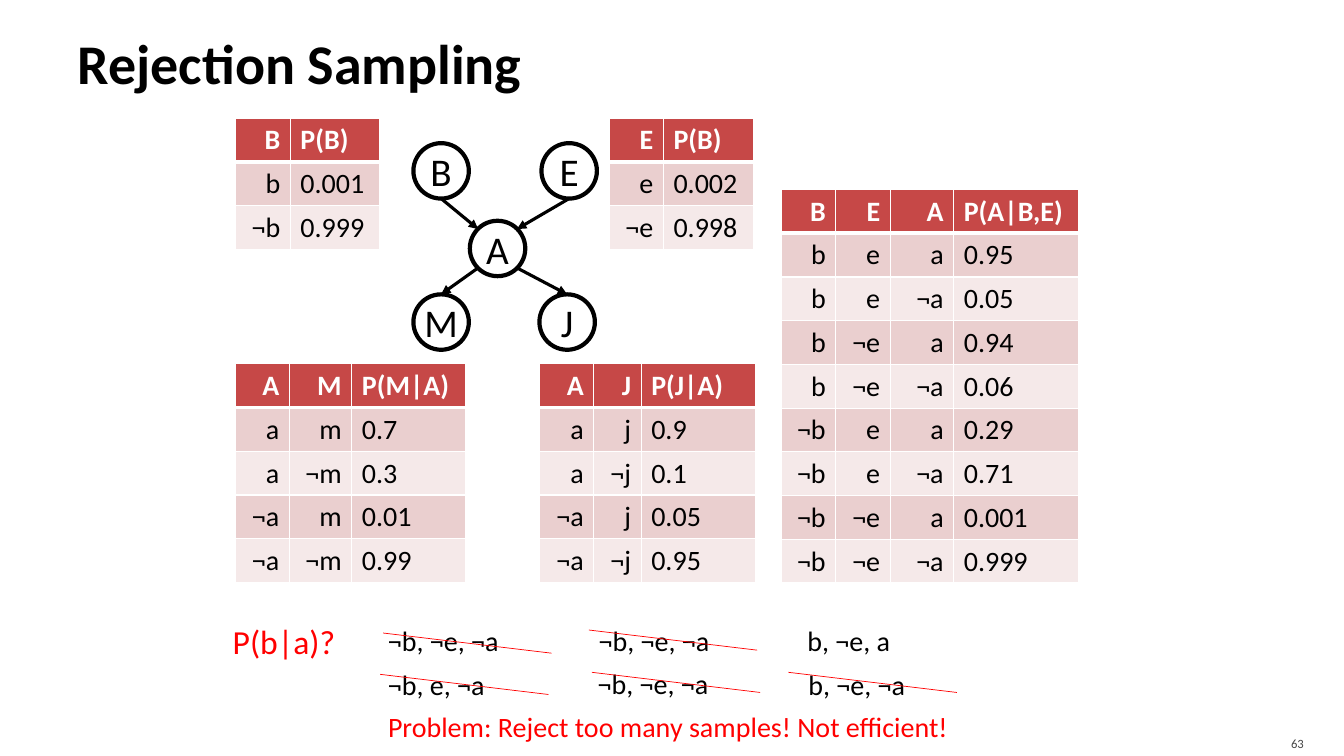
import pptx
import pptx.dml.color
import pptx.enum.shapes
import pptx.enum.text
import pptx.oxml
import pptx.oxml.ns
import pptx.util
from pptx.util import Inches

RGBColor = pptx.dml.color.RGBColor
ALIGN = pptx.enum.text.PP_ALIGN
MIDDLE = pptx.enum.text.MSO_ANCHOR.MIDDLE

BLACK = RGBColor(0x00, 0x00, 0x00)
WHITE = RGBColor(0xFF, 0xFF, 0xFF)
RED = RGBColor(0xFF, 0x00, 0x00)
GRAY = RGBColor(0x45, 0x45, 0x45)
HEADER_FILL = RGBColor(0xC6, 0x48, 0x47)
BAND_FILLS = (RGBColor(0xF5, 0xE9, 0xE9), RGBColor(0xEA, 0xCF, 0xCF))

TITLE = "Rejection Sampling"
PAGE_NUMBER = "63"

# (left, top), column widths, rows with cells separated by spaces
TABLES = [
    ((2.33, 1.17), (0.55, 0.89), ["B P(B)", "b 0.001", "¬b 0.999"]),
    ((6.04, 1.17), (0.54, 0.89), ["E P(B)", "e 0.002", "¬e 0.998"]),
    ((2.33, 3.61), (0.54, 0.62, 1.13),
     ["A M P(M|A)", "a m 0.7", "a ¬m 0.3", "¬a m 0.01", "¬a ¬m 0.99"]),
    ((5.35, 3.61), (0.54, 0.47, 1.13),
     ["A J P(J|A)", "a j 0.9", "a ¬j 0.1", "¬a j 0.05", "¬a ¬j 0.95"]),
    ((7.75, 1.88), (0.54, 0.54, 0.63, 1.24),
     ["B E A P(A|B,E)", "b e a 0.95", "b e ¬a 0.05", "b ¬e a 0.94", "b ¬e ¬a 0.06",
      "¬b e a 0.29", "¬b e ¬a 0.71", "¬b ¬e a 0.001", "¬b ¬e ¬a 0.999"]),
]
ROW_HEIGHT = 0.433

# text, (left, top, width, height), size, colour
LABELS = [
    ("P(b|a)?", (2.21, 6.11, 1.87, 0.5), 24, RED),
    ("¬b, ¬e, ¬a", (3.75, 6.14, 1.87, 0.44), 20, BLACK),
    ("¬b, ¬e, ¬a", (5.84, 6.14, 1.87, 0.44), 20, BLACK),
    ("b, ¬e, a", (7.91, 6.14, 1.87, 0.44), 20, BLACK),
    ("¬b, e, ¬a", (3.75, 6.57, 1.87, 0.44), 20, BLACK),
    ("¬b, ¬e, ¬a", (5.83, 6.56, 1.87, 0.44), 20, BLACK),
    ("b, ¬e, ¬a", (7.92, 6.57, 1.87, 0.44), 20, BLACK),
    ("Problem: Reject too many samples! Not efficient!", (3.75, 6.99, 5.95, 0.44), 20, RED),
]
STRIKE_STARTS = [(3.8, 6.28), (5.84, 6.25), (5.87, 6.67), (3.77, 6.69), (7.82, 6.67)]
STRIKE_SPAN = (1.67, 0.2)

NODES = {"B": (4.1, 1.42), "E": (5.37, 1.42), "A": (4.66, 2.19),
         "M": (4.1, 2.92), "J": (5.35, 2.92)}
NODE_SIZE = 0.55
# Places on a node's outline, as fractions of its size
SITES = {"top": (0.5, 0), "bottom": (0.5, 1),
         "top left": (0.15, 0.15), "top right": (0.85, 0.15),
         "bottom left": (0.15, 0.85), "bottom right": (0.85, 0.85)}
ARROWS = [("B", "bottom", "A", "top left"), ("E", "bottom", "A", "top right"),
          ("A", "bottom left", "M", "top"), ("A", "bottom right", "J", "top")]


def write(frame, text, size, color, bold=False, align=ALIGN.LEFT):
    frame.text = text
    paragraph = frame.paragraphs[0]
    paragraph.alignment = align
    font = paragraph.runs[0].font
    formats = {"name": "Calibri", "size": pptx.util.Pt(size), "bold": bold}
    for name, value in formats.items():
        setattr(font, name, value)
    font.color.rgb = color


def set_frame(frame, margins, anchor=MIDDLE):
    """Set left, top, right and bottom margins and the vertical anchor."""
    for side, margin in zip(("left", "top", "right", "bottom"), margins):
        setattr(frame, "margin_" + side, Inches(margin))
    frame.vertical_anchor = anchor


def add_text(slide, text, box, size, color, align=ALIGN.LEFT):
    frame = slide.shapes.add_textbox(*map(Inches, box)).text_frame
    frame.word_wrap = True
    write(frame, text, size, color, align=align)
    return frame


def add_line(slide, start, end, color, width, arrow=False):
    connector = slide.shapes.add_connector(
        pptx.enum.shapes.MSO_CONNECTOR.STRAIGHT, *map(Inches, start + end))
    connector.line.color.rgb = color
    connector.line.width = pptx.util.Pt(width)
    if arrow:
        pptx.oxml.ns.qn("a:tailEnd")
        connector.line._get_or_add_ln().append(pptx.oxml.parse_xml(
            f'<a:tailEnd {pptx.oxml.ns.nsdecls("a")} type="triangle"/>'))
    connector._element.spPr.append(pptx.oxml.parse_xml(
        f'<a:effectLst {pptx.oxml.ns.nsdecls("a")}/>'))


def set_borders(cell, bottom_width):
    """Add white borders, which must stand before the cell's fill."""
    properties = cell._tc.get_or_add_tcPr()
    for position, side in enumerate("LRTB"):
        width = pptx.util.Pt(bottom_width if side == "B" else 1)
        properties.insert(position, pptx.oxml.parse_xml(
            f'<a:ln{side} {pptx.oxml.ns.nsdecls("a")} w="{width}"><a:solidFill>'
            f'<a:srgbClr val="{WHITE}"/></a:solidFill></a:ln{side}>'))


def add_probability_table(slide, corner, widths, lines):
    rows = [line.split() for line in lines]
    size = (sum(widths), ROW_HEIGHT * len(rows))
    table = slide.shapes.add_table(
        len(rows), len(widths), *map(Inches, corner + size)).table
    table.first_row = table.horz_banding = False
    for column, width in zip(table.columns, widths):
        column.width = Inches(width)
    for r, row in enumerate(rows):
        header = r == 0
        for c, text in enumerate(row):
            cell = table.cell(r, c)
            cell.fill.solid()
            cell.fill.fore_color.rgb = HEADER_FILL if header else BAND_FILLS[r % 2]
            set_borders(cell, 3 if header else 1)
            write(cell.text_frame, text, 20, WHITE if header else BLACK, header,
                  ALIGN.LEFT if c == len(row) - 1 else ALIGN.RIGHT)


def add_node(slide, name, corner):
    node = slide.shapes.add_shape(
        pptx.enum.shapes.MSO_SHAPE.OVAL,
        *map(Inches, corner + (NODE_SIZE, NODE_SIZE)))
    node.shadow.inherit = False
    node.fill.background()
    node.line.color.rgb = BLACK
    node.line.width = pptx.util.Pt(3)
    set_frame(node.text_frame, (0, 0, 0, 0))
    node.text_frame.word_wrap = False
    write(node.text_frame, name, 28, BLACK, align=ALIGN.CENTER)


def site_point(name, site):
    return tuple(start + NODE_SIZE * part for start, part in zip(NODES[name], SITES[site]))


def main():
    presentation = pptx.Presentation()
    presentation.slide_width = Inches(13.33)
    presentation.slide_height = Inches(7.5)
    slide = presentation.slides.add_slide(presentation.slide_layouts[5])

    title = slide.shapes.title
    title.left, title.top, title.width, title.height = map(Inches, (0.67, 0.08, 12, 1.08))
    set_frame(title.text_frame, (0.1, 0.05, 0.05, 0.05))
    write(title.text_frame, TITLE, 40, BLACK, bold=True)

    number = add_text(slide, PAGE_NUMBER, (11.96, 7.2, 1.07, 0.3), 9, GRAY, ALIGN.RIGHT)
    set_frame(number, (0.1, 0.05, 0.1, 0))

    for corner, widths, lines in TABLES:
        add_probability_table(slide, corner, widths, lines)
    for text, box, size, color in LABELS:
        add_text(slide, text, box, size, color)
    for left, top in STRIKE_STARTS:
        end = (left + STRIKE_SPAN[0], top + STRIKE_SPAN[1])
        add_line(slide, (left, top), end, RED, 0.5)
    for name, corner in NODES.items():
        add_node(slide, name, corner)
    for source, source_site, target, target_site in ARROWS:
        add_line(slide, site_point(source, source_site), site_point(target, target_site),
                 BLACK, 2.25, arrow=True)

    presentation.save("out.pptx")


if __name__ == "__main__":
    main()
